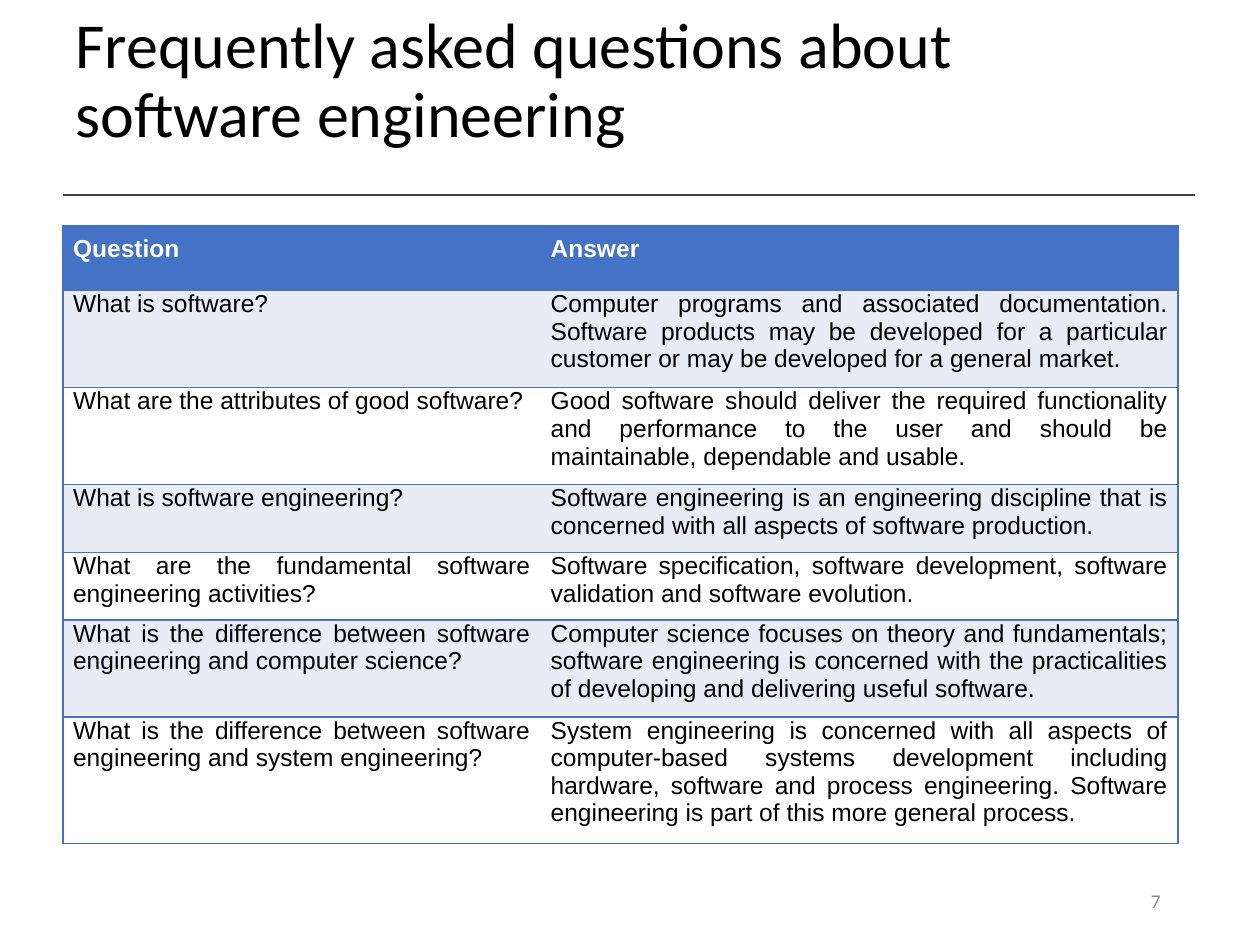
import pptx
import pptx.dml.color
import pptx.enum.shapes
import pptx.enum.text
import pptx.oxml
import pptx.oxml.ns
import pptx.util
from pptx.util import Pt

ALIGN = pptx.enum.text.PP_ALIGN
BLUE, PALE, WHITE, BLACK = "4472C4", "E9EBF5", "FFFFFF", "000000"


def color(hex_value):
    return pptx.dml.color.RGBColor.from_string(hex_value)


def write(frame, text, size, font="Arial", ink=BLACK, bold=False,
          align=ALIGN.LEFT, spacing=1.0, insets=(7.2, 3.6, 7.2, 3.6)):
    """Fill a text frame or table cell; insets run left, top, right, bottom."""
    (frame.margin_left, frame.margin_top,
     frame.margin_right, frame.margin_bottom) = map(Pt, insets)
    frame.word_wrap = True
    text_frame = getattr(frame, "text_frame", frame)
    paragraph = text_frame.paragraphs[0]
    paragraph.alignment = align
    paragraph.line_spacing = spacing
    run = paragraph.add_run()
    run.text = text
    run.font.size = Pt(size)
    run.font.name = font
    run.font.bold = bold
    run.font.color.rgb = color(ink)


faq = [
    ("Question", "Answer"),
    ("What is software?",
     "Computer programs and associated documentation. Software products may be "
     "developed for a particular customer or may be developed for a general market."),
    ("What are the attributes of good software?",
     "Good software should deliver the required functionality and performance to "
     "the user and should be maintainable, dependable and usable."),
    ("What is software engineering?",
     "Software engineering is an engineering discipline that is concerned with all "
     "aspects of software production."),
    ("What are the fundamental software engineering activities?",
     "Software specification, software development, software validation and "
     "software evolution."),
    ("What is the difference between software engineering and computer science?",
     "Computer science focuses on theory and fundamentals; software engineering is "
     "concerned with the practicalities of developing and delivering useful software."),
    ("What is the difference between software engineering and system engineering?",
     "System engineering is concerned with all aspects of computer-based systems "
     "development including hardware, software and process engineering. Software "
     "engineering is part of this more general process."),
]
column_widths = [272.9, 364.3]
row_heights = [37.2, 52.6, 52.6, 37.2, 37.2, 52.6, 68.5]

deck = pptx.Presentation()
deck.slide_width, deck.slide_height = Pt(720), Pt(540)
slide = deck.slides.add_slide(deck.slide_layouts[6])

rule = slide.shapes.add_connector(pptx.enum.shapes.MSO_CONNECTOR.STRAIGHT,
                                  Pt(36), Pt(111.6), Pt(683), Pt(111.6))
rule.line.color.rgb = color("404040")
rule.line.width = Pt(1)
pptx.oxml.ns.qn("a:effectLst")
rule.line._get_or_add_ln().addnext(
    pptx.oxml.parse_xml(f"<a:effectLst {pptx.oxml.ns.nsdecls('a')}/>"))

title = slide.shapes.add_textbox(Pt(36), Pt(4), Pt(605.5), Pt(88))
write(title.text_frame, "Frequently asked questions about software engineering",
      36.6, font="Calibri", spacing=0.9)

page_number = slide.shapes.add_textbox(Pt(508.3), Pt(500.4), Pt(162), Pt(28.8))
write(page_number.text_frame, "7", 11.1, font="Calibri", ink="8C8C8C", align=ALIGN.RIGHT)
page_number.text_frame.vertical_anchor = pptx.enum.text.MSO_ANCHOR.MIDDLE

table = slide.shapes.add_table(len(faq), 2, Pt(36), Pt(128.9),
                               Pt(sum(column_widths)), Pt(sum(row_heights))).table
for column, width in zip(table.columns, column_widths):
    column.width = Pt(width)
for row, height in zip(table.rows, row_heights):
    row.height = Pt(height)

for r, entry in enumerate(faq):
    header = r == 0
    for c, text in enumerate(entry):
        cell = table.cell(r, c)
        write(cell, text, 14, ink=WHITE if header else BLACK, bold=header,
              align=ALIGN.JUSTIFY, insets=(5.8, 5.8 if header else 0, 5.8, 5))
        outer_side = "lnR" if c else "lnL"
        properties = cell._tc.get_or_add_tcPr()
        for side in ("lnL", "lnR", "lnT", "lnB"):
            visible = side in (outer_side, "lnT", "lnB")
            paint = (f'<a:solidFill><a:srgbClr val="{BLUE}"/></a:solidFill>'
                     if visible else "<a:noFill/>")
            properties.append(pptx.oxml.parse_xml(
                f'<a:{side} {pptx.oxml.ns.nsdecls("a")} w="{Pt(1)}">{paint}</a:{side}>'))
        cell.fill.solid()
        cell.fill.fore_color.rgb = color(BLUE if header else PALE if r % 2 else WHITE)

deck.save("out.pptx")
